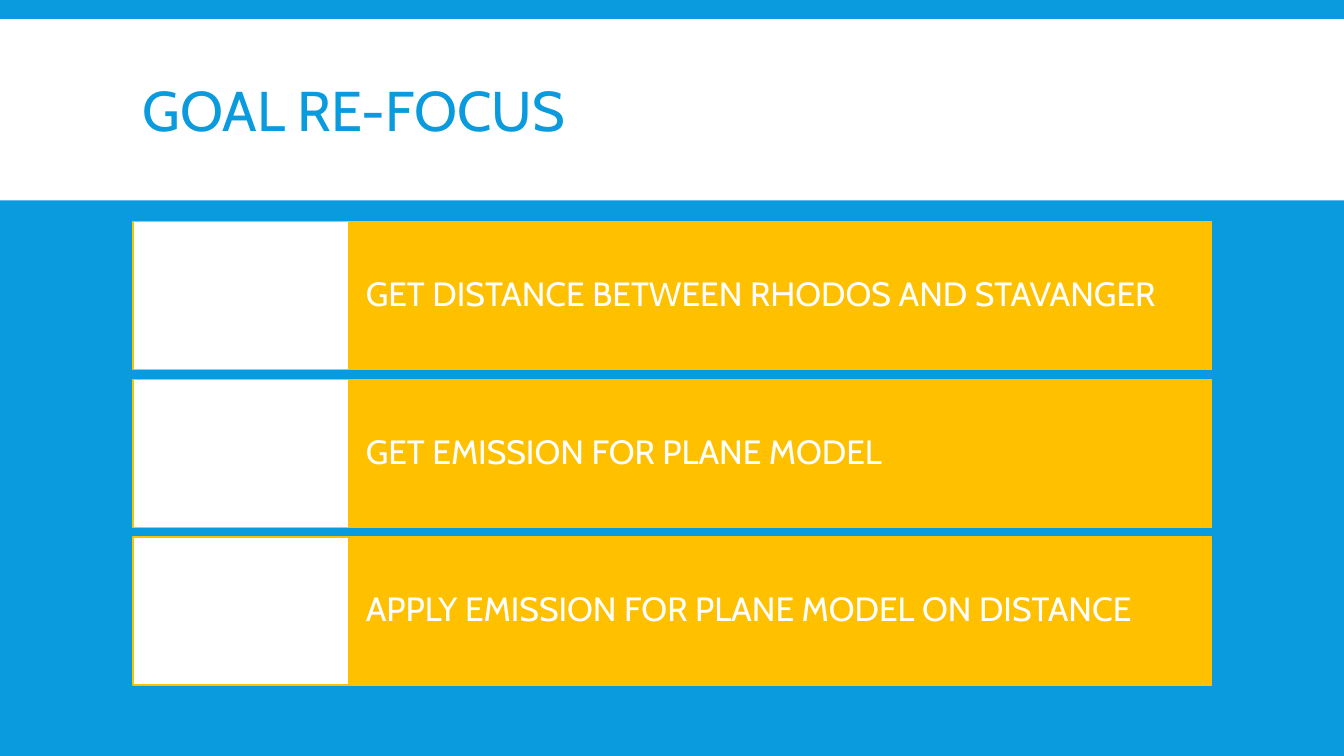
from dataclasses import dataclass

from pptx import Presentation
from pptx.dml.color import RGBColor
from pptx.enum.shapes import MSO_SHAPE
from pptx.enum.text import MSO_ANCHOR, MSO_AUTO_SIZE, PP_ALIGN
from pptx.util import Cm, Pt

TITLE = "GOAL RE-FOCUS"
GOALS = [
    "GET DISTANCE BETWEEN RHODOS AND STAVANGER",
    "GET EMISSION FOR PLANE MODEL",
    "APPLY EMISSION FOR PLANE MODEL ON DISTANCE",
]


@dataclass(frozen=True)
class Theme:
    blue: RGBColor = RGBColor(0x09, 0x9B, 0xDD)
    amber: RGBColor = RGBColor(0xFF, 0xC0, 0x00)
    white: RGBColor = RGBColor(0xFF, 0xFF, 0xFF)
    font: str = "Cabin"
    title_size: int = 40
    goal_size: int = 24


THEME = Theme()

# Lengths in centimetres
SLIDE_W, SLIDE_H = 33.87, 19.05
BAND_TOP, BAND_H = 0.48, 4.57
TITLE_TOP, TITLE_H = 0.79, 4.19
LEFT, TILE_W, BAR_W = 3.35, 5.44, 21.74
ROW_TOP, ROW_H, ROW_PITCH = 5.59, 3.73, 3.97


def add_box(s, left, top, width, height, fill, line=None):
    sp = s.shapes.add_shape(MSO_SHAPE.RECTANGLE, Cm(left), Cm(top), Cm(width), Cm(height))
    sp.shadow.inherit = False
    sp.fill.solid()
    sp.fill.fore_color.rgb = fill
    if line is None:
        sp.line.fill.background()
    else:
        sp.line.color.rgb = line
        sp.line.width = Pt(1)
    return sp


def write(sp, text, *, size, color, spacing, inset=(0.25, 0.13)):
    """Set left-aligned, vertically centred text; inset is (sides, top and bottom) in cm."""
    tf = sp.text_frame
    tf.word_wrap = True
    tf.auto_size = MSO_AUTO_SIZE.NONE
    tf.vertical_anchor = MSO_ANCHOR.MIDDLE
    tf.margin_left = tf.margin_right = Cm(inset[0])
    tf.margin_top = tf.margin_bottom = Cm(inset[1])
    p = tf.paragraphs[0]
    p.alignment = PP_ALIGN.LEFT
    p.line_spacing = spacing
    r = p.add_run()
    r.text = text
    r.font.name = THEME.font
    r.font.size = Pt(size)
    r.font.color.rgb = color


def add_title(s):
    band = add_box(s, 0, BAND_TOP, SLIDE_W, BAND_H, THEME.white)
    title = s.shapes.title
    title.left, title.top = Cm(LEFT), Cm(TITLE_TOP)
    title.width, title.height = Cm(TILE_W + BAR_W), Cm(TITLE_H)
    write(title, TITLE, size=THEME.title_size, color=THEME.blue, spacing=0.85)
    band.element.addnext(title.element)  # keep the title in front of its band


def add_goals(s):
    for i, goal in enumerate(GOALS):
        top = ROW_TOP + i * ROW_PITCH
        bar = add_box(s, LEFT + TILE_W, top, BAR_W, ROW_H, THEME.amber, THEME.amber)
        write(bar, goal, size=THEME.goal_size, color=THEME.white, spacing=0.9,
              inset=(0.43, 0.94))
        add_box(s, LEFT, top, TILE_W, ROW_H, THEME.white, THEME.amber)


def main():
    prs = Presentation()
    prs.slide_width, prs.slide_height = Cm(SLIDE_W), Cm(SLIDE_H)
    s = prs.slides.add_slide(prs.slide_layouts.get_by_name("Title Only"))
    s.background.fill.solid()
    s.background.fill.fore_color.rgb = THEME.blue
    add_title(s)
    add_goals(s)
    prs.save("out.pptx")


if __name__ == "__main__":
    main()
